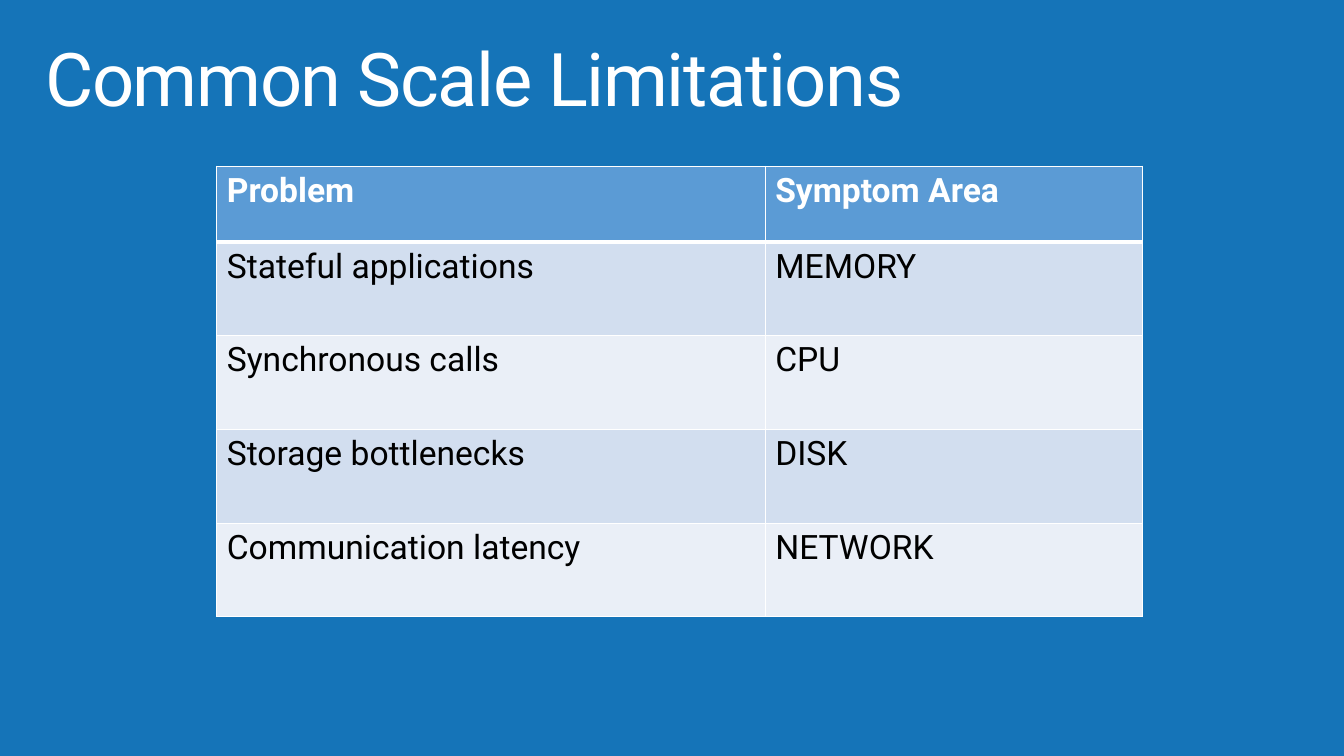
from dataclasses import dataclass

from lxml.etree import SubElement
from pptx import Presentation
from pptx.dml.color import RGBColor
from pptx.enum.text import MSO_ANCHOR, PP_ALIGN
from pptx.oxml.ns import qn
from pptx.slide import Slide
from pptx.table import _Cell
from pptx.text.text import _Paragraph
from pptx.util import Inches, Pt

BLUE = RGBColor(0x15, 0x74, 0xB8)
HEADER_BLUE = RGBColor(0x5B, 0x9B, 0xD5)
DARK_BAND = RGBColor(0xD2, 0xDE, 0xEF)
LIGHT_BAND = RGBColor(0xEA, 0xEF, 0xF7)
WHITE = RGBColor(0xFF, 0xFF, 0xFF)
BLACK = RGBColor(0x00, 0x00, 0x00)
FONT = "Roboto"


@dataclass(frozen=True)
class Limitation:
    problem: str
    symptom: str


@dataclass(frozen=True)
class RowStyle:
    fill: RGBColor
    color: RGBColor
    bold: bool
    top: float
    bottom: float


HEADING = Limitation("Problem", "Symptom Area")
LIMITATIONS = [
    Limitation("Stateful applications", "MEMORY"),
    Limitation("Synchronous calls", "CPU"),
    Limitation("Storage bottlenecks", "DISK"),
    Limitation("Communication latency", "NETWORK"),
]
COLUMN_WIDTHS = [5.44, 3.74]
HEADER_HEIGHT = 0.75
ROW_HEIGHT = 0.93


def add_span(para: _Paragraph, text: str, size: float, color: RGBColor, bold: bool = False):
    span = para.add_run()
    span.text = text
    span.font.name = FONT
    span.font.size = Pt(size)
    span.font.bold = bold
    span.font.color.rgb = color
    return span


def set_borders(cell: _Cell, top: float, bottom: float) -> None:
    properties = cell._tc.get_or_add_tcPr()
    for side, width in (("L", 1), ("R", 1), ("T", top), ("B", bottom)):
        line = SubElement(properties, qn(f"a:ln{side}"), w=str(Pt(width)))
        SubElement(SubElement(line, qn("a:solidFill")), qn("a:srgbClr"), val=str(WHITE))


def row_style(row: int) -> RowStyle:
    if row == 0:
        return RowStyle(HEADER_BLUE, WHITE, True, 1, 3)
    band = DARK_BAND if row % 2 else LIGHT_BAND
    return RowStyle(band, BLACK, False, 3 if row == 1 else 1, 1)


def add_title(page: Slide, text: str) -> None:
    title = page.shapes.title
    title.left, title.top = Inches(0.29), Inches(0.32)
    title.width, title.height = Inches(12.62), Inches(0.98)
    frame = title.text_frame
    frame.word_wrap = True
    frame.vertical_anchor = MSO_ANCHOR.TOP
    frame.margin_left = frame.margin_right = Inches(0.16)
    frame.margin_top = frame.margin_bottom = Inches(0.1)
    para = frame.paragraphs[0]
    para.alignment = PP_ALIGN.LEFT
    para.line_spacing = 0.9
    span = add_span(para, text, 52.9, WHITE)
    span.font._element.set("spc", "-100")


def add_limitations(page: Slide) -> None:
    entries = [HEADING, *LIMITATIONS]
    heights = [HEADER_HEIGHT] + [ROW_HEIGHT] * len(LIMITATIONS)
    table = page.shapes.add_table(
        len(entries), len(COLUMN_WIDTHS), Inches(2.15), Inches(1.65),
        Inches(sum(COLUMN_WIDTHS)), Inches(sum(heights)),
    ).table
    for column, width in zip(table.columns, COLUMN_WIDTHS):
        column.width = Inches(width)
    for index, (entry, height) in enumerate(zip(entries, heights)):
        table.rows[index].height = Inches(height)
        style = row_style(index)
        for cell, text in zip(table.rows[index].cells, (entry.problem, entry.symptom)):
            set_borders(cell, style.top, style.bottom)
            cell.fill.solid()
            cell.fill.fore_color.rgb = style.fill
            add_span(cell.text_frame.paragraphs[0], text, 24, style.color, style.bold)


def main() -> None:
    deck = Presentation()
    deck.slide_width, deck.slide_height = Inches(13.33), Inches(7.5)

    # Title-only page on a blue background
    page = deck.slides.add_slide(deck.slide_layouts[5])
    page.background.fill.solid()
    page.background.fill.fore_color.rgb = BLUE
    add_title(page, "Common Scale Limitations")

    # Problems and where they show
    add_limitations(page)
    deck.save("out.pptx")


if __name__ == "__main__":
    main()
